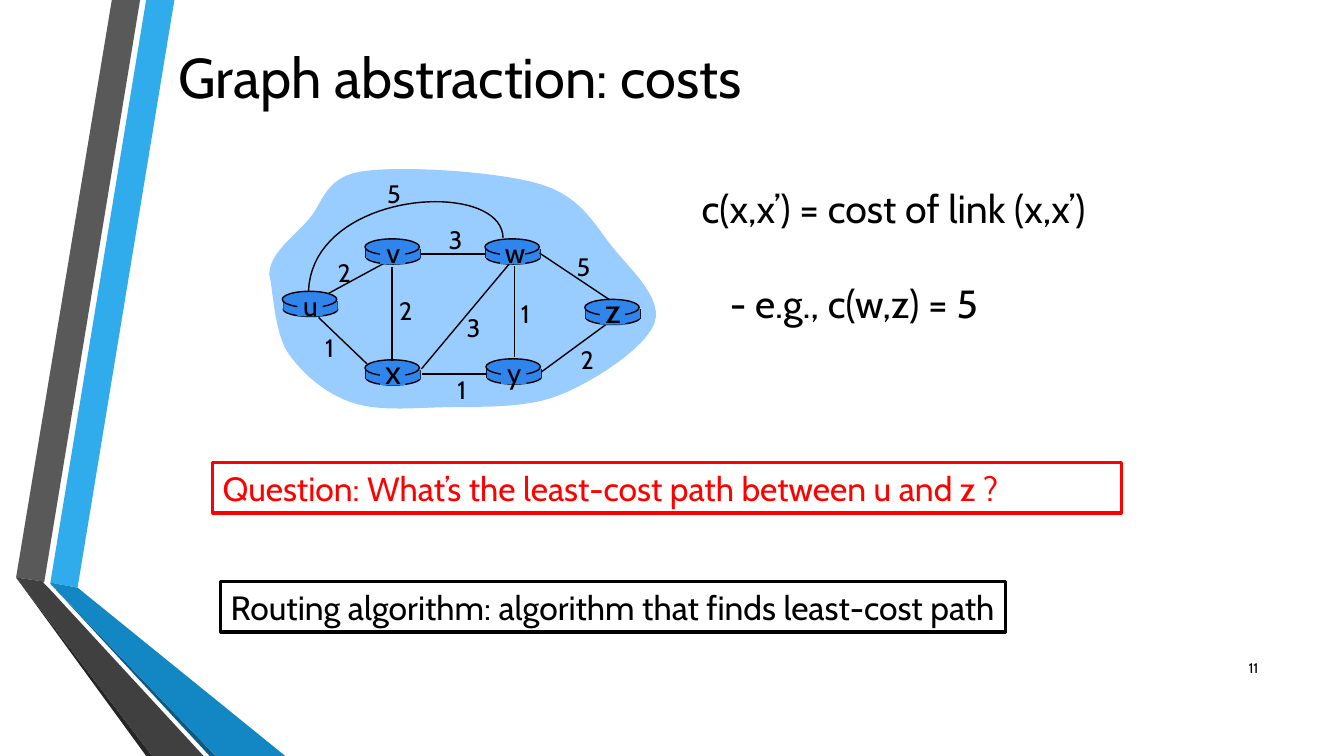
from lxml import etree
from pptx import Presentation
from pptx.dml.color import RGBColor
from pptx.enum.shapes import MSO_CONNECTOR, MSO_SHAPE
from pptx.enum.text import MSO_ANCHOR, MSO_AUTO_SIZE, PP_ALIGN
from pptx.oxml.ns import qn
from pptx.util import Pt

EMU_PER_PX = 9144  # 100 px to the inch
FONT = "Cabin"
RECT, OVAL = MSO_SHAPE.RECTANGLE, MSO_SHAPE.OVAL
STRAIGHT = MSO_CONNECTOR.STRAIGHT
LEFT, CENTER, RIGHT = PP_ALIGN.LEFT, PP_ALIGN.CENTER, PP_ALIGN.RIGHT
TOP, MIDDLE = MSO_ANCHOR.TOP, MSO_ANCHOR.MIDDLE
GROW, FIXED = MSO_AUTO_SIZE.SHAPE_TO_FIT_TEXT, MSO_AUTO_SIZE.NONE

BLACK = RGBColor(0x00, 0x00, 0x00)
RED = RGBColor(0xFF, 0x00, 0x00)
CLOUD_BLUE = RGBColor(0x99, 0xCC, 0xFF)
ROUTER_BLUE = RGBColor(0x30, 0x85, 0xED)
SKY = RGBColor(0x30, 0xAC, 0xEC)
OCEAN = RGBColor(0x12, 0x87, 0xC3)
DEEP_BLUE = RGBColor(0x0C, 0x5A, 0x82)
GREY = RGBColor(0x59, 0x59, 0x59)
DARK_GREY = RGBColor(0x40, 0x40, 0x40)
NEAR_BLACK = RGBColor(0x26, 0x26, 0x26)

# Side ribbon, back to front
RIBBON = [
    (SKY, [(50, 578), (77, 583), (173, 0), (145, 0)]),
    (GREY, [(139, 0), (111, 0), (16, 573), (44, 577)]),
    (NEAR_BLACK, [(16, 573), (145, 750), (151, 750)]),
    (DEEP_BLUE, [(50, 579), (208, 750), (214, 750)]),
    (OCEAN, [(50, 579), (214, 750), (283, 750), (77, 583), (50, 578)]),
    (DARK_GREY, [(202, 750), (48, 583), (43, 578), (44, 577), (16, 573), (151, 750)]),
]

# Bezier outlines: start point, then two controls and an end per curve
CLOUD = [
    (267, 272), (268, 251), (290, 236), (305, 219), (321, 202), (321, 176), (359, 170),
    (398, 164), (495, 170), (537, 183), (578, 196), (590, 224), (609, 247),
    (628, 270), (658, 297), (649, 321), (640, 345), (590, 378), (555, 392),
    (520, 406), (474, 403), (440, 404), (405, 405), (374, 408), (348, 399),
    (322, 390), (299, 370), (285, 349), (272, 328), (271, 288), (267, 272),
]
ARC_W_U = [(499, 236), (498, 177), (310, 188), (306, 289)]

# Router name: left, top, label size
ROUTERS = {
    "u": (280, 289, 20), "y": (482, 356, 20), "x": (362, 357, 24),
    "w": (481, 237, 20), "v": (362, 237, 20), "z": (580, 297, 24),
}
LABEL_RISE = {20: 8, 24: 14}
LABEL_HEIGHT = {20: 43, 24: 51}

LINK_U_V = ((326, 291), (385, 259))
LINKS = [
    ((510, 264), (510, 354)),  # w-y
    ((389, 265), (389, 358)),  # v-x
    ((418, 366), (505, 262)),  # x-w
    ((537, 369), (601, 322)),  # y-z
    ((482, 371), (419, 371)),  # y-x
    ((364, 361), (316, 315)),  # x-u
    ((481, 252), (418, 252)),  # w-v
    ((604, 297), (535, 251)),  # z-w
]
COSTS = [
    ("2", 325, 250), ("2", 386, 288), ("1", 311, 325), ("3", 453, 305), ("1", 442, 366),
    ("1", 505, 291), ("2", 566, 337), ("5", 562, 244), ("3", 435, 218), ("5", 374, 172),
]


def px(length):
    return round(length * EMU_PER_PX)


def curve_points(bezier, steps=12):
    points = [bezier[0]]
    for i in range(0, len(bezier) - 1, 3):
        a, b, c, d = bezier[i:i + 4]
        for step in range(1, steps + 1):
            t = step / steps
            s = 1 - t
            weights = (s ** 3, 3 * s * s * t, 3 * s * t * t, t ** 3)
            points.append(tuple(sum(w * p[axis] for w, p in zip(weights, (a, b, c, d)))
                                for axis in (0, 1)))
    return points


class Painter:
    def __init__(self, slide):
        self.slide = slide
        self.shapes = slide.shapes

    def paint(self, shape, fill, line, weight):
        shape.shadow.inherit = False
        if fill is None:
            shape.fill.background()
        else:
            shape.fill.solid()
            shape.fill.fore_color.rgb = fill
        if line is None:
            shape.line.fill.background()
        else:
            shape.line.color.rgb = line
            shape.line.width = Pt(weight)
        return shape

    def shape(self, kind, box, fill=None, line=None, weight=1):
        return self.paint(self.shapes.add_shape(kind, *map(px, box)), fill, line, weight)

    def outline(self, points, fill=None, line=None, close=True):
        start, *rest = [(px(x), px(y)) for x, y in points]
        builder = self.shapes.build_freeform(*start, scale=1.0)
        builder.add_line_segments(rest, close=close)
        return self.paint(builder.convert_to_shape(), fill, line, 1)

    def link(self, start, end):
        connector = self.shapes.add_connector(STRAIGHT, *map(px, (*start, *end)))
        connector.line.color.rgb = BLACK
        connector.line.width = Pt(1)
        etree.SubElement(connector._element.spPr, qn("a:effectLst"))

    def set_text(self, shape, lines, size, color=BLACK, align=LEFT, **frame_format):
        frame = shape.text_frame
        settings = {"word_wrap": True, "auto_size": GROW, "vertical_anchor": TOP}
        for name, value in {**settings, **frame_format}.items():
            setattr(frame, name, value)
        frame.text = "\n".join(lines)
        for paragraph in frame.paragraphs:
            paragraph.alignment = align
            font = paragraph.runs[0].font
            for name, value in {"name": FONT, "size": Pt(size)}.items():
                setattr(font, name, value)
            font.color.rgb = color
        return frame

    def text(self, box, lines, size, **formats):
        return self.set_text(self.shapes.add_textbox(*map(px, box)), lines, size, **formats)

    def title(self, box, words, size):
        title = self.shapes.title
        for name, value in zip(("left", "top", "width", "height"), box):
            setattr(title, name, px(value))
        self.set_text(title, [words], size, auto_size=FIXED, vertical_anchor=MIDDLE)

    def router(self, left, top):
        side, rim, base = left + 1, top + 10, top + 19
        self.shape(OVAL, (side, top + 11, 54, 14), ROUTER_BLUE, BLACK)
        for x in (side, side + 54):
            self.link((x, rim), (x, base))
        self.shape(RECT, (side, rim, 54, base - rim), ROUTER_BLUE)
        self.shape(OVAL, (left, top, 54, 16), ROUTER_BLUE, BLACK)

    def router_label(self, name, left, top, size):
        self.shape(RECT, (left + 15, top + 2, 25, 23), ROUTER_BLUE)
        box = (left + 10, top - LABEL_RISE[size], 36, LABEL_HEIGHT[size])
        self.text(box, [name], size, align=CENTER, word_wrap=False)


def main():
    deck = Presentation()
    deck.slide_width, deck.slide_height = px(1333), px(750)
    painter = Painter(deck.slides.add_slide(deck.slide_layouts[5]))

    # Ribbon and title
    for color, points in RIBBON:
        painter.outline(points, color)
    painter.title((167, 11, 1096, 129), "Graph abstraction: costs", 40)

    # Network: cloud, routers and links
    painter.outline(curve_points(CLOUD), CLOUD_BLUE)
    painter.link(*LINK_U_V)
    for left, top, _ in ROUTERS.values():
        painter.router(left, top)
    for start, end in LINKS:
        painter.link(start, end)
    painter.outline(curve_points(ARC_W_U, 40), line=BLACK, close=False)

    # Router names and link costs
    for name, (left, top, size) in ROUTERS.items():
        painter.router_label(name, left, top, size)
    for cost, left, top in COSTS:
        painter.text((left, top, 32, 40), [cost], 18, align=CENTER, word_wrap=False)

    # Cost notation
    notation = painter.text((686, 178, 490, 232),
                            ["c(x,x’) = cost of link (x,x’)", "- e.g., c(w,z) = 5"], 28)
    example = notation.paragraphs[1]
    example.space_before = Pt(34)
    example._p.get_or_add_pPr().set("marL", str(px(28)))

    # Question and answer boxes
    question = painter.shape(RECT, (211, 459, 901, 50), line=RED, weight=2.25)
    painter.set_text(question, ["Question: What’s the least-cost path between u and z ?"], 24,
                     color=RED)
    answer = painter.shape(RECT, (219, 577, 778, 50), line=BLACK, weight=2.25)
    painter.set_text(answer, ["Routing algorithm: algorithm that finds least-cost path"], 24,
                     word_wrap=False)

    # Page number
    painter.text((1198, 643, 60, 40), ["11"], 10, align=RIGHT, auto_size=FIXED,
                 vertical_anchor=MIDDLE)
    deck.save("out.pptx")


if __name__ == "__main__":
    main()
